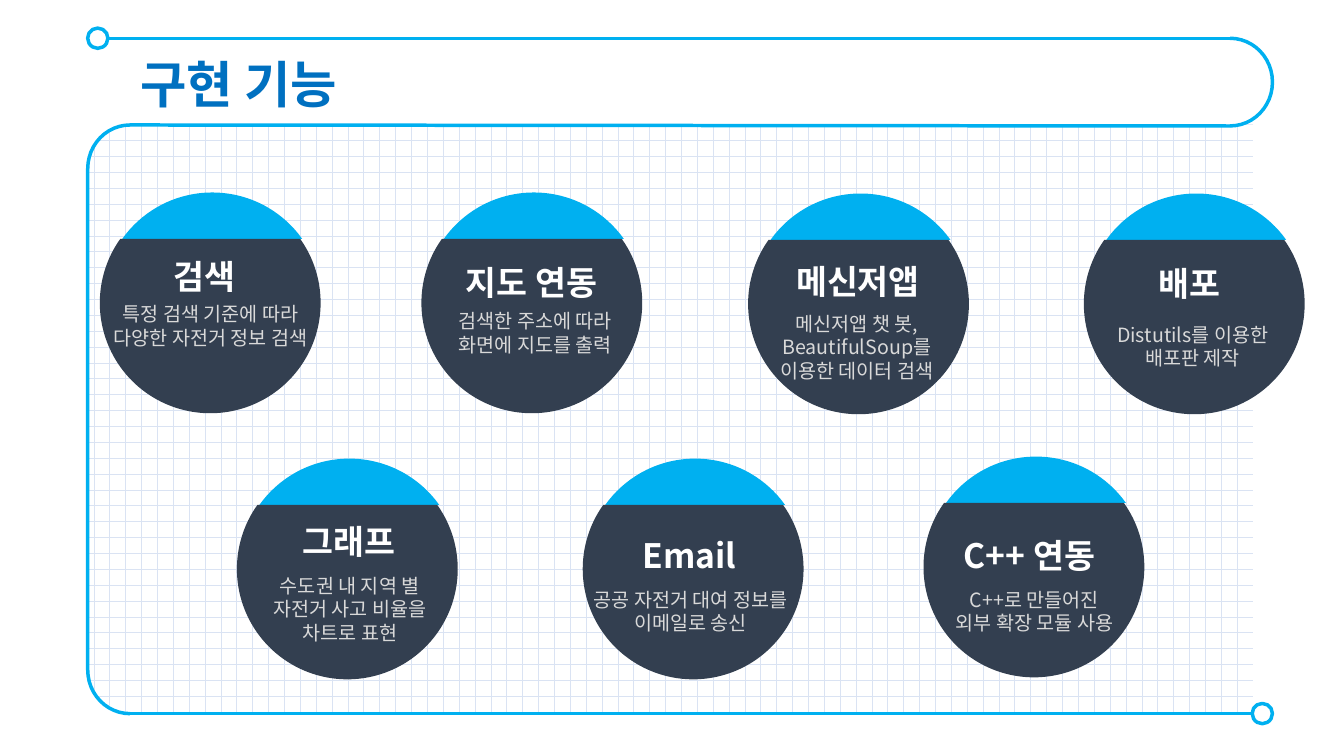
import math
from dataclasses import dataclass

import pptx
import pptx.dml.color
import pptx.enum.dml
import pptx.enum.shapes
import pptx.enum.text
import pptx.oxml.ns
import pptx.util
from lxml import etree

Inches = pptx.util.Inches
Shape = pptx.enum.shapes.MSO_SHAPE
Align = pptx.enum.text.PP_ALIGN
AutoSize = pptx.enum.text.MSO_AUTO_SIZE
qn = pptx.oxml.ns.qn


@dataclass(frozen=True)
class Theme:
    font: str = "Noto Sans CJK KR"
    accent: str = "00B0F0"
    title: str = "0070C0"
    dark: str = "333F50"
    grid: str = "DAE3F3"
    paper: str = "FFFFFF"
    muted: str = "D9D9D9"
    title_size: int = 36
    heading_size: int = 24
    body_size: int = 14
    line_width: float = 2.5


def rgb(value):
    return pptx.dml.color.RGBColor.from_string(value)


class SlideBuilder:
    radius = 1.095
    chord_drop = 0.635
    wrap_length = 18

    def __init__(self, deck, theme):
        self.theme = theme
        self.page = deck.slides.add_slide(deck.slide_layouts[5])
        self.shapes = self.page.shapes

    def style_para(self, para, size, color, bold=False):
        font = para.font
        font.name = self.theme.font
        font.size = pptx.util.Pt(size)
        font.bold = bold
        font.color.rgb = rgb(color)
        latin = font._element.find(qn("a:latin"))
        latin.addnext(etree.Element(qn("a:ea"), typeface=self.theme.font))

    def title(self, text, left, top, width, height):
        box = self.shapes.title
        box.left, box.top = Inches(left), Inches(top)
        box.width, box.height = Inches(width), Inches(height)
        frame = box.text_frame
        frame.text = text
        frame.auto_size = AutoSize.NONE
        frame.vertical_anchor = pptx.enum.text.MSO_ANCHOR.TOP
        para = frame.paragraphs[0]
        para.alignment = Align.LEFT
        self.style_para(para, self.theme.title_size, self.theme.title, True)

    def text(self, lines, left, top, width, height, size, color, bold=False, spacing=1.0):
        box = self.shapes.add_textbox(Inches(left), Inches(top), Inches(width), Inches(height))
        frame = box.text_frame
        frame.word_wrap = True
        frame.auto_size = AutoSize.SHAPE_TO_FIT_TEXT
        frame.text = "\n".join(lines)
        for para in frame.paragraphs:
            para.alignment = Align.CENTER
            para.line_spacing = spacing
            self.style_para(para, size, color, bold)

    def preset(self, kind, left, top, width, height, adjustments):
        shape = self.shapes.add_shape(
            kind, Inches(left), Inches(top), Inches(width), Inches(height))
        shape.shadow.inherit = False
        for index, value in enumerate(adjustments):
            shape.adjustments[index] = value
        return shape

    def outline(self, item):
        item.line.color.rgb = rgb(self.theme.accent)
        item.line.width = pptx.util.Pt(self.theme.line_width)

    def grid_panel(self, left, top, width, height):
        panel = self.preset(Shape.ROUND_2_SAME_RECTANGLE, left, top, width, height, (0.079, 0))
        panel.rotation = 270
        panel.fill.patterned()
        panel.fill.pattern = pptx.enum.dml.MSO_PATTERN.DOTTED_GRID
        panel.fill.fore_color.rgb = rgb(self.theme.grid)
        panel.fill.back_color.rgb = rgb(self.theme.paper)
        panel.line.fill.background()

    def bracket(self, kind, left, top, width, height):
        bracket = self.preset(kind, left, top, width, height, (1.031,))
        bracket.fill.background()
        self.outline(bracket)

    def knob(self, left, top):
        knob = self.preset(Shape.ROUND_2_SAME_RECTANGLE, left, top, 0.2, 0.2, (0.488, 0.5))
        knob.fill.solid()
        knob.fill.fore_color.rgb = rgb(self.theme.paper)
        self.outline(knob)

    def line(self, x1, y1, x2, y2):
        connector = self.shapes.add_connector(
            pptx.enum.shapes.MSO_CONNECTOR.STRAIGHT,
            Inches(x1), Inches(y1), Inches(x2), Inches(y2))
        self.outline(connector)
        etree.SubElement(connector._element.spPr, qn("a:effectLst"))

    def segment(self, center_x, center_y, degrees, color):
        points = [(Inches(center_x + self.radius * math.cos(math.radians(degree))),
                   Inches(center_y + self.radius * math.sin(math.radians(degree))))
                  for degree in degrees]
        builder = self.shapes.build_freeform(*points[0])
        builder.add_line_segments(points[1:], close=True)
        shape = builder.convert_to_shape()
        contour = shape._element.find(".//" + qn("a:path"))
        for straight in contour.findall(qn("a:lnTo")):
            contour.remove(straight)
        radius = str(int(Inches(self.radius)))
        start = round(degrees[0] % 360 * 60000)
        sweep = round((degrees[-1] - degrees[0]) * 60000)
        arc = etree.Element(qn("a:arcTo"), wR=radius, hR=radius,
                            stAng=str(start), swAng=str(sweep))
        contour.find(qn("a:moveTo")).addnext(arc)
        shape.shadow.inherit = False
        shape.fill.solid()
        shape.fill.fore_color.rgb = rgb(color)
        shape.line.fill.background()

    def feature(self, left, chord_y, heading, heading_box, lines, lines_at):
        theme = self.theme
        center_x = left + self.radius
        center_y = chord_y + self.chord_drop
        tilt = math.degrees(math.asin(self.chord_drop / self.radius))
        self.segment(center_x + 0.02, center_y, (180 + tilt, 270, 360 - tilt), theme.accent)
        self.segment(center_x, center_y, (-tilt, 0, 90, 180, 180 + tilt), theme.dark)
        self.text([heading], *heading_box, 0.64, theme.heading_size, theme.paper, True, 1.5)
        rows = sum(math.ceil(len(line) / self.wrap_length) for line in lines)
        self.text(lines, *lines_at, 2.54, 0.09 + 0.24 * rows, theme.body_size, theme.muted)


FEATURES = [
    (0.99, 2.37, "검색", (1.14, 2.29, 1.78),
     ["특정 검색 기준에 따라", "다양한 자전거 정보 검색"], (0.82, 2.95)),
    (4.18, 2.37, "지도 연동", (4.38, 2.35, 1.78),
     ["검색한 주소에 따라", "화면에 지도를 출력"], (4.04, 3.02)),
    (7.42, 2.38, "메신저앱", (7.46, 2.34, 2.1),
     ["메신저앱 챗 봇, BeautifulSoup를", "이용한 데이터 검색"], (7.23, 3.04)),
    (10.75, 2.38, "배포", (10.83, 2.36, 1.94),
     ["Distutils를 이용한", "배포판 제작"], (10.56, 3.15)),
    (2.35, 5.01, "그래프", (2.57, 4.92, 1.78),
     ["수도권 내 지역 별", "자전거 사고 비율을", "차트로 표현"], (2.2, 5.64)),
    (5.78, 5.01, "Email", (5.87, 5.06, 1.94),
     ["공공 자전거 대여 정보를", "이메일로 송신"], (5.58, 5.78)),
    (9.16, 4.99, "C++ 연동", (9.24, 5.06, 1.94),
     ["C++로 만들어진", "외부 확장 모듈 사용"], (8.99, 5.78)),
]


def main():
    deck = pptx.Presentation()
    deck.slide_width, deck.slide_height = Inches(13.33), Inches(7.5)
    slide = SlideBuilder(deck, Theme())
    slide.grid_panel(3.73, -1.62, 5.84, 11.55)
    slide.knob(0.87, 0.28)
    slide.bracket(Shape.RIGHT_BRACKET, 12.2, 0.38, 0.42, 0.87)
    slide.line(1.07, 0.38, 12.2, 0.38)
    slide.line(1.29, 1.24, 12.2, 1.25)
    slide.bracket(Shape.LEFT_BRACKET, 0.87, 1.24, 0.42, 5.84)
    slide.line(1.29, 7.08, 12.42, 7.08)
    slide.knob(12.42, 6.98)
    slide.title("구현 기능", 1.29, 0.48, 8.3, 0.71)
    for feature in FEATURES:
        slide.feature(*feature)
    deck.save("out.pptx")


if __name__ == "__main__":
    main()
